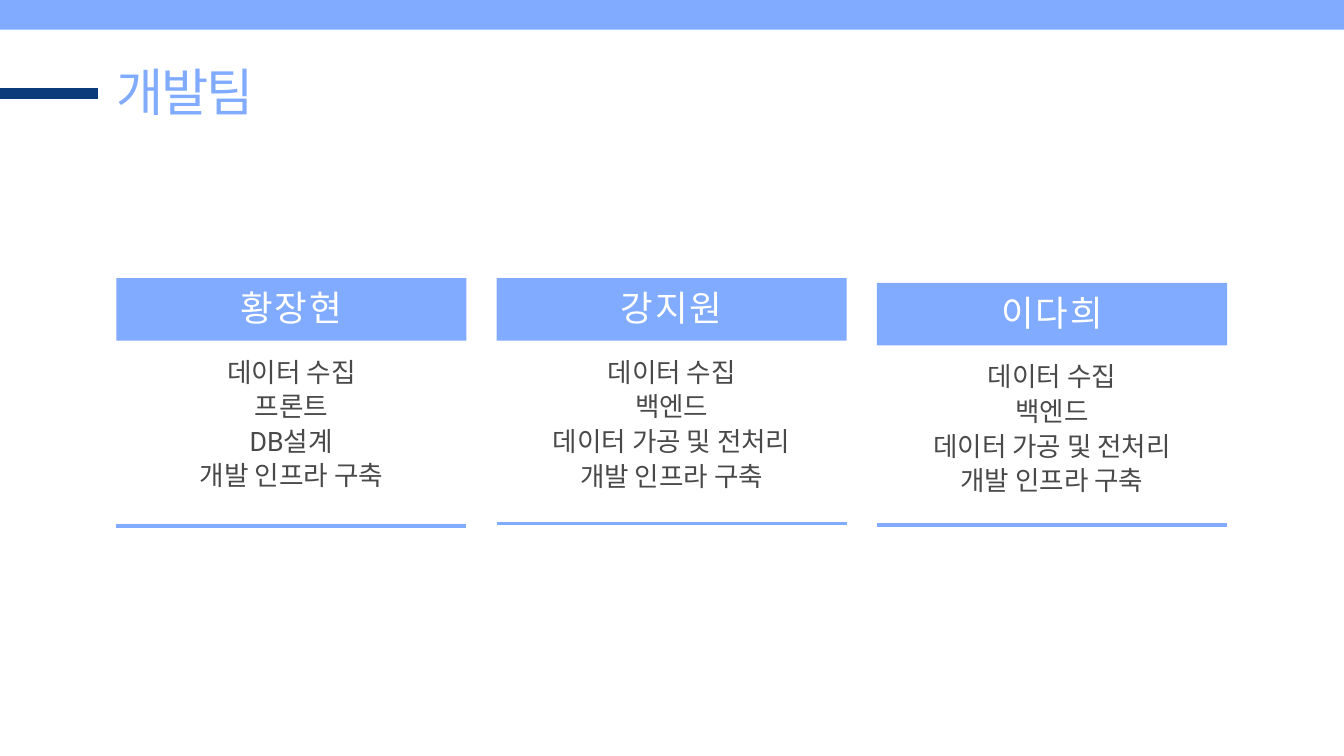
from pptx import Presentation
from pptx.dml.color import RGBColor
from pptx.enum import shapes, text
from pptx.util import Inches, Pt
from lxml import etree

BLUE, NAVY, GREY, WHITE = "80ABFF", "0B3B7B", "494949", "FFFFFF"
A = "http://schemas.openxmlformats.org/drawingml/2006/main"


def rgb(value):
    return RGBColor.from_string(value)


def add_text(box, lines, size, color, leading, spacing=0, align=text.PP_ALIGN.CENTER):
    tf = s.shapes.add_textbox(*[Inches(v) for v in box]).text_frame
    tf.margin_left = tf.margin_right = tf.margin_top = tf.margin_bottom = 0
    tf.word_wrap = True
    tf.auto_size = text.MSO_AUTO_SIZE.SHAPE_TO_FIT_TEXT
    tf.text = "\n".join(lines)
    for p in tf.paragraphs:
        p.alignment = align
        p.line_spacing = Pt(leading)
        for r in p.runs:
            r.font.name = "Roboto" if r.text.startswith("DB") else "Calibri"
            r.font.size = Pt(size)
            r.font.color.rgb = rgb(color)
            if spacing:
                r.font._element.set("spc", str(spacing))


prs = Presentation()
prs.slide_width, prs.slide_height = Inches(20), Inches(11.25)
s = prs.slides.add_slide(prs.slide_layouts[6])

left, pitch, width = 1.73, 5.66, 5.21
members = [
    ("황장현", 4.14, 38.1, 28.6, 7.83, 3.75,
     ["데이터 수집", "프론트", "DB설계", "개발 인프라 구축"]),
    ("강지원", 4.14, 38, 28.5, 7.79, 3,
     ["데이터 수집", "백엔드", "데이터 가공 및 전처리", "개발 인프라 구축"]),
    ("이다희", 4.21, 38, 28.5, 7.81, 3.75,
     ["데이터 수집", "백엔드", "데이터 가공 및 전처리", "개발 인프라 구축"]),
]

bars = [(-0.12, -0.13, 20.23, 0.57)]
rules = [(0, 1.46, 1.39, NAVY, 11.25)]
for i, (name, top, name_size, task_size, rule_y, weight, tasks) in enumerate(members):
    x = left + i * pitch
    bars.append((x, top, width, 0.93))
    rules.append((x, x + width, rule_y, BLUE, weight))

for bar in bars:
    sp = s.shapes.add_shape(shapes.MSO_SHAPE.RECTANGLE, *[Inches(v) for v in bar])
    sp.shadow.inherit = False
    sp.fill.solid()
    sp.fill.fore_color.rgb = rgb(BLUE)
    sp.line.fill.background()

for x1, x2, y, color, weight in rules:
    line = s.shapes.add_connector(
        shapes.MSO_CONNECTOR.STRAIGHT, Inches(x1), Inches(y), Inches(x2), Inches(y))
    line.line.color.rgb = rgb(color)
    line.line.width = Pt(weight)
    etree.SubElement(line._element.spPr, f"{{{A}}}effectLst")

add_text((left, 0.89, 7.23, 1.06), ["개발팀"], 55, BLUE, 66, -220, text.PP_ALIGN.LEFT)
for i, (name, top, name_size, task_size, rule_y, weight, tasks) in enumerate(members):
    x = left + i * pitch
    add_text((x, top + 0.09, width, 0.75), [name], name_size, WHITE, 47.5, 190)
    add_text((x, top + 1.11, width, 2.12), tasks, task_size, GREY, 37.1)

prs.save("out.pptx")
